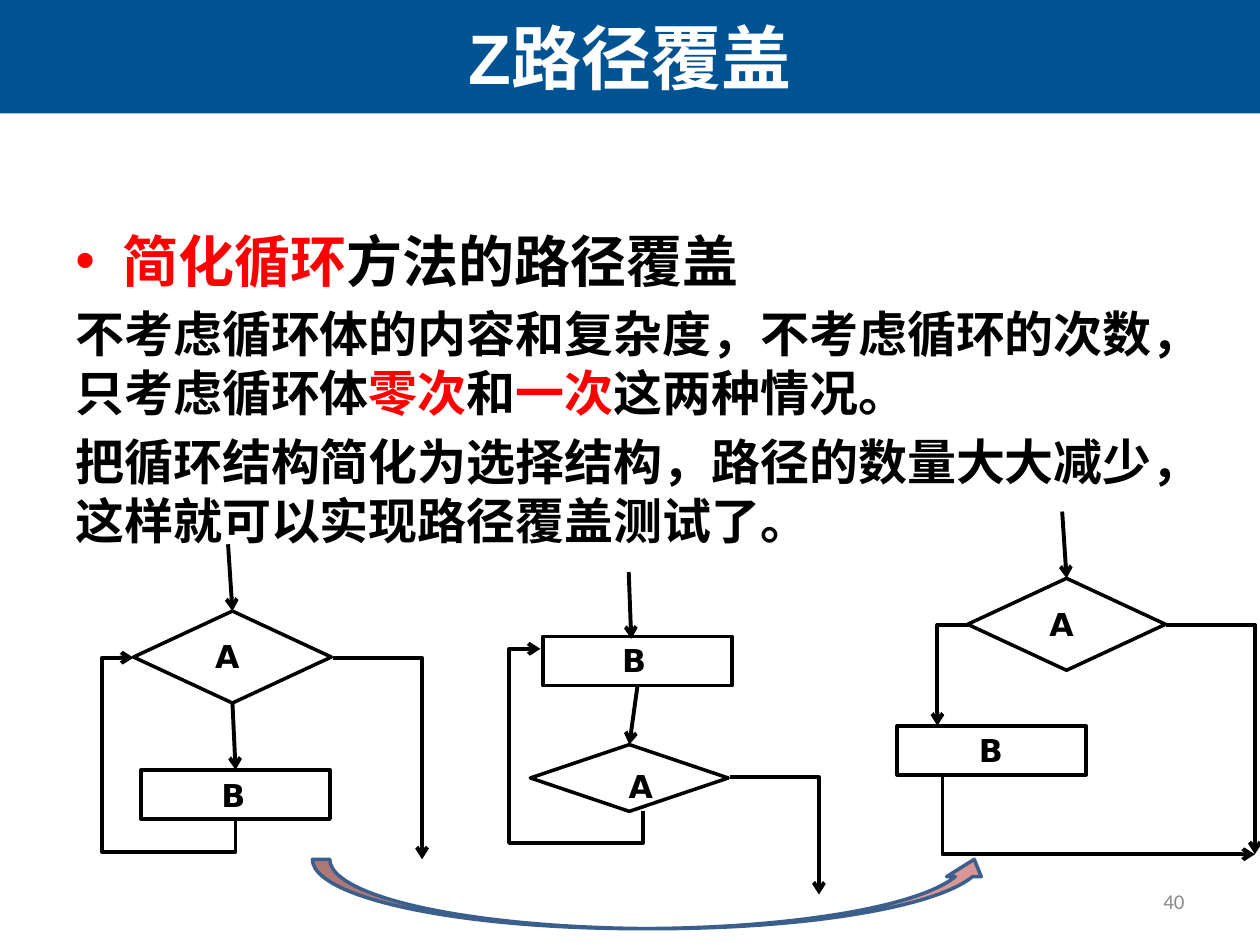
import dataclasses

import pptx
import pptx.dml.color
import pptx.enum.shapes
import pptx.enum.text
import pptx.oxml.ns
import pptx.util
from lxml import etree

KIND = pptx.enum.shapes.MSO_SHAPE
SIDE = pptx.enum.text.PP_ALIGN
HOLD = pptx.enum.text.MSO_ANCHOR
QN = pptx.oxml.ns.qn
COLS, ROWS = 100, 75
WIDTH, HEIGHT = pptx.util.Inches(10), pptx.util.Inches(7.5)


@dataclasses.dataclass(frozen=True)
class Theme:
    """Colours, fonts and type sizes of the slide."""
    band: str = "005392"
    white: str = "FFFFFF"
    ink: str = "000000"
    key: str = "FF0000"
    grey: str = "8C8C8C"
    rose: str = "D99694"
    edge: str = "3A5F8C"
    main: str = "Arial"
    small: str = "Calibri"
    code: str = "DejaVu Sans"
    title: int = 40
    lead: int = 32
    body: int = 28
    label: int = 18
    foot: int = 12
    rim: float = 2
    wire: float = 2.25


THEME = Theme()


def col(count):
    """Turn grid columns into a length."""
    return round(WIDTH * count / COLS)


def row(count):
    """Turn grid rows into a length."""
    return round(HEIGHT * count / ROWS)


def box(left, top, wide, high):
    """Turn a grid cell range into left, top, width and height."""
    return col(left), row(top), col(wide), row(high)


def tint(code):
    """Make a colour from its hex code."""
    return pptx.dml.color.RGBColor.from_string(code)


def style(run, size, hue, font=THEME.main, bold=True):
    """Format one run."""
    run.font.size = pptx.util.Pt(size)
    run.font.name = font
    run.font.bold = bold
    run.font.color.rgb = tint(hue)


def shape(slide, kind, area, fill=None, line=None):
    """Add a preset shape with plain fill and line."""
    item = slide.shapes.add_shape(kind, *box(*area))
    item.shadow.inherit = False
    if fill:
        item.fill.solid()
        item.fill.fore_color.rgb = tint(fill)
    else:
        item.fill.background()
    if line:
        item.line.color.rgb = tint(line)
        item.line.width = pptx.util.Pt(THEME.rim)
    else:
        item.line.fill.background()
    return item


def text(slide, area, words, size, hue, font=THEME.main, bold=True,
         side=SIDE.LEFT, hold=HOLD.TOP, wrap=True):
    """Add a one-paragraph text box."""
    frame = slide.shapes.add_textbox(*box(*area)).text_frame
    frame.word_wrap = wrap
    frame.vertical_anchor = hold
    frame.text = words
    para = frame.paragraphs[0]
    para.alignment = side
    style(para.runs[0], size, hue, font, bold)


def label(slide, left, top, words):
    """Add the letter of a flow chart node."""
    text(slide, (left, top, 4, 4), words, THEME.label, THEME.ink,
         THEME.code, wrap=False)


def bullet(para):
    """Give a paragraph a hanging red bullet."""
    props = para._p.get_or_add_pPr()
    props.set("marL", str(col(3.75)))
    props.set("indent", str(-col(3.75)))
    hue = etree.SubElement(props, QN("a:buClr"))
    etree.SubElement(hue, QN("a:srgbClr"), val=THEME.key)
    etree.SubElement(props, QN("a:buFont"), typeface=THEME.main)
    etree.SubElement(props, QN("a:buChar"), char="•")


def prose(slide, area, paras):
    """Add the body, where each paragraph is a size and (words, colour) pairs."""
    frame = slide.shapes.add_textbox(*box(*area)).text_frame
    frame.word_wrap = True
    for place, (size, parts) in enumerate(paras):
        para = frame.add_paragraph() if place else frame.paragraphs[0]
        para.space_before = pptx.util.Pt(size * 0.2)
        for words, hue in parts:
            run = para.add_run()
            run.text = words
            style(run, size, hue)
    bullet(frame.paragraphs[0])


def ink(item):
    """Draw a line in black with an arrowhead at its end."""
    item.line.color.rgb = tint(THEME.ink)
    item.line.width = pptx.util.Pt(THEME.wire)
    etree.SubElement(item.line._get_or_add_ln(), QN("a:tailEnd"), type="arrow")


def arrow(slide, start, end, source=None, target=None):
    """Add a straight arrow, joined to node bottoms and tops where given."""
    item = slide.shapes.add_connector(
        pptx.enum.shapes.MSO_CONNECTOR.STRAIGHT,
        col(start[0]), row(start[1]), col(end[0]), row(end[1]))
    if source:
        item.begin_connect(source, 2)
    if target:
        item.end_connect(target, 0)
    ink(item)
    etree.SubElement(item._element.spPr, QN("a:effectLst"))


def bend(slide, *points):
    """Add an arrow with right-angled turns through the points."""
    spots = [(col(x), row(y)) for x, y in points]
    path = slide.shapes.build_freeform(*spots[0])
    path.add_line_segments(spots[1:], close=False)
    item = path.convert_to_shape()
    item.shadow.inherit = False
    item.fill.background()
    ink(item)


def enter(slide, x, y, target=None):
    """Add the short arrow that leads into a flow chart."""
    arrow(slide, (x, y), (x + 0.2, y + 5.3), target=target)


def leave(slide, x, y, drop):
    """Add the arrow that leads out to the right and down."""
    bend(slide, (x, y), (x + 7.1, y), (x + 7.1, y + drop))


def back(slide, x, y):
    """Add the loop arrow from below a node back up to the left."""
    bend(slide, (x, y), (x, y + 2.5), (x - 10.6, y + 2.5),
         (x - 10.6, y - 12.9), (x - 8.1, y - 12.9))


def test(slide, left, top, high=7.3):
    """Add a decision diamond."""
    return shape(slide, KIND.DIAMOND, (left, top, 15.7, high), line=THEME.ink)


def step(slide, left, top):
    """Add a process rectangle."""
    return shape(slide, KIND.RECTANGLE, (left, top, 15, 3.9), line=THEME.ink)


def pretest(slide):
    """Draw the loop that tests first."""
    head, work = test(slide, 10.6, 48.5), step(slide, 11.2, 61.1)
    enter(slide, 18.1, 43.2, head)
    arrow(slide, (18.5, 55.8), (18.7, 61.1), head, work)
    leave(slide, 26.4, 52.2, 16)
    back(slide, 18.7, 65.1)
    label(slide, 16.1, 50.1, "A")
    label(slide, 16.6, 61.1, "B")


def posttest(slide):
    """Draw the loop that tests last."""
    work, head = step(slide, 43.1, 50.5), test(slide, 42.1, 59.1, 5.3)
    enter(slide, 49.9, 45.4)
    arrow(slide, (50.6, 54.4), (50, 59.1), work, head)
    leave(slide, 57.9, 61.7, 9.3)
    back(slide, 51, 64.4)
    label(slide, 48.4, 50.4, "B")
    label(slide, 48.9, 60.4, "A")


def choice(slide):
    """Draw the selection that replaces both loops."""
    head = test(slide, 76.8, 45.9)
    step(slide, 71.2, 57.6)
    enter(slide, 84.3, 40.6, head)
    leave(slide, 92.5, 49.6, 18.2)
    bend(slide, (76.8, 49.6), (74.4, 49.6), (74.4, 57.6))
    bend(slide, (74.8, 61.6), (74.8, 67.8), (99.6, 67.8))
    label(slide, 82.3, 47.5, "A")
    label(slide, 76.7, 57.5, "B")


def main():
    """Build and save the slide."""
    deck = pptx.Presentation()
    deck.slide_width, deck.slide_height = WIDTH, HEIGHT
    slide = deck.slides.add_slide(deck.slide_layouts[6])
    shape(slide, KIND.RECTANGLE, (0, 0, COLS, 9), fill=THEME.band)
    prose(slide, (5, 17.5, 90, 49.5), [
        (THEME.lead, [("简化循环", THEME.key), ("方法的路径覆盖", THEME.ink)]),
        (THEME.body, [
            ("不考虑循环体的内容和复杂度，不考虑循环的次数，只考虑循环体", THEME.ink),
            ("零次", THEME.key), ("和", THEME.ink), ("一次", THEME.key),
            ("这两种情况。", THEME.ink)]),
        (THEME.body, [
            ("把循环结构简化为选择结构，路径的数量大大减少，这样就可以实现路径覆盖测试了。",
             THEME.ink)]),
    ])
    text(slide, (71.7, 69.5, 23.3, 4), "40", THEME.foot, THEME.grey,
         THEME.small, False, SIDE.RIGHT, HOLD.MIDDLE)
    text(slide, (0, 0, COLS, 9), "Z路径覆盖", THEME.title, THEME.white,
         side=SIDE.CENTER, hold=HOLD.MIDDLE)
    for draw in (pretest, posttest, choice):
        draw(slide)
    shape(slide, KIND.CURVED_UP_ARROW, (24.8, 68.2, 53.9, 5.5),
          THEME.rose, THEME.edge)
    deck.save("out.pptx")


if __name__ == "__main__":
    main()
